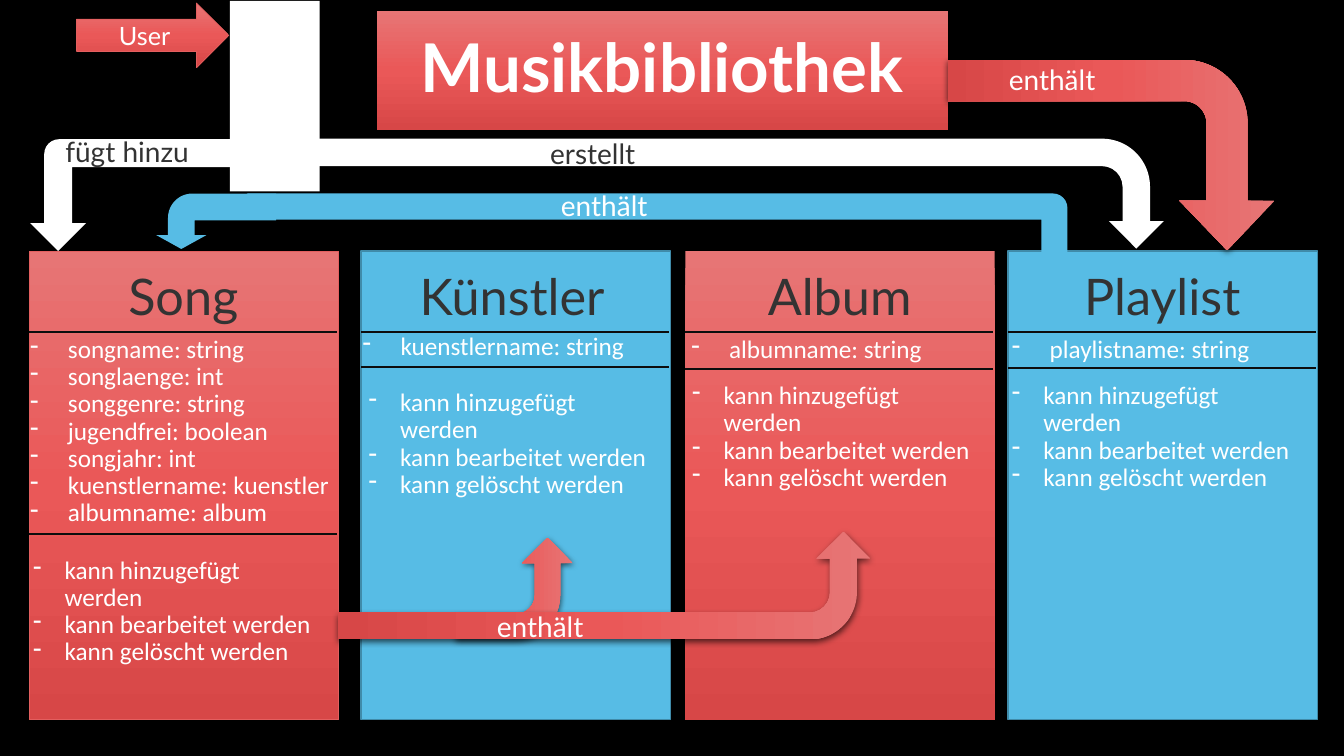
import copy
import pptx
import pptx.dml.color
import pptx.enum.shapes
import pptx.enum.text
import pptx.oxml
import pptx.oxml.ns
import pptx.util

Pt = pptx.util.Pt
SHAPES = pptx.enum.shapes.MSO_SHAPE
ALIGN = pptx.enum.text.PP_ALIGN
qn = pptx.oxml.ns.qn
NS = pptx.oxml.ns.nsdecls("a")

THEME = {
    "black": "000000", "white": "FFFFFF", "dark": "333333", "rule": "0D0D0D",
    "blue": "57BCE5", "blue_edge": "408BA9", "red_edge": "E35F5F",
    "red": ("E77575", "EA5858", "D74747"),
    "heading": "Lato", "body": "Calibri",
    "title_size": 48, "card_size": 36, "label_size": 20, "body_size": 18,
}

OPERATIONS = ["kann hinzugefügt werden", "kann bearbeitet werden", "kann gelöscht werden"]
CARD_TOP, CARD_W, CARD_H = 179.3, 221, 334.8
RULE_Y, RULE_W = 236.9, 219.8

CARDS = [
    {"name": "Song", "x": 20.9, "name_x": 37.4, "fill": "red", "edge": ("red_edge", 0.5),
     "fields": ["songname: string", "songlaenge: int", "songgenre: string",
                "jugendfrei: boolean", "songjahr: int",
                "kuenstlername: kuenstler", "albumname: album"],
     "fields_at": (14.4, 236.9), "divider_y": 381.6, "operations_at": (16.6, 394.6)},
    {"name": "Künstler", "x": 257.8, "name_x": 272.2, "fill": "blue", "edge": ("blue_edge", 1),
     "fields": ["kuenstlername: string"],
     "fields_at": (252, 234.7), "divider_y": 262.1, "operations_at": (256.3, 275)},
    {"name": "Album", "x": 489.6, "name_x": 506.2, "fill": "red", "shadow": True,
     "fields": ["albumname: string"],
     "fields_at": (486.7, 236.9), "divider_y": 263.5, "operations_at": (487.4, 270)},
    {"name": "Playlist", "x": 720, "name_x": 736.6, "fill": "blue", "edge": ("blue_edge", 1),
     "fields": ["playlistname: string"],
     "fields_at": (715.7, 236.9), "divider_y": 262.8, "operations_at": (715.7, 270)},
]

FLOWS = [
    {"arrows": [((725.8, -5.8, 136.1, 233.3),
                 {"fill": "red", "shadow": True, "rot": 90, "adj": (0.216, 0.25, 0.261, 0.332)})],
     "label": "enthält", "label_at": (713.5, 43.9, 130.3, 28.8)},
    {"arrows": [((155.5, 138.2, 607, 43.2),
                 {"fill": "blue", "flip": "flipH", "adj": (0.45, 0.216, 0.5, 0.241)}),
                ((134.6, 115.2, 39.6, 85.7),
                 {"fill": "blue", "rot": 270, "flip": "flipH", "adj": (0.482, 0.453, 0.25, 0.438)})],
     "label": "enthält", "label_at": (329, 133.9, 205.2, 28.8), "align": ALIGN.CENTER},
    {"arrows": [((331.2, 378.7, 72.7, 83.5),
                 {"fill": "red", "shadow": True, "rot": 270, "flip": "flipV"}),
                ((393.1, 228.2, 77, 380.2),
                 {"fill": "red", "shadow": True, "rot": 270, "flip": "flipV"})],
     "label": "enthält", "label_at": (347.8, 434.9, 121, 28.8)},
    {"arrows": [((490.3, -163.4, 78.5, 603.4), {"fill": "white", "rot": 90})],
     "label": "erstellt", "label_at": (385.9, 96.5, 117.4, 28.8), "color": "dark"},
    {"arrows": [((53.3, 67.7, 79.9, 143.3),
                 {"fill": "white", "rot": 90, "flip": "flipV", "adj": (0.25, 0.25, 0.25, 0.133)})],
     "label": "fügt hinzu", "label_at": (39.6, 95, 133.9, 28.8), "color": "dark"},
]


def rgb(name):
    return pptx.dml.color.RGBColor.from_string(THEME[name])


def paint_gradient(fill, colors):
    fill.gradient()
    fill.gradient_angle = 270
    first = fill.gradient_stops[0]._gs
    first.addnext(copy.deepcopy(first))
    for i, (stop, color) in enumerate(zip(fill.gradient_stops, colors)):
        stop.position = i / (len(colors) - 1)
        stop.color.rgb = pptx.dml.color.RGBColor.from_string(color)


def add_shadow(sp):
    effects = sp._element.spPr.find(qn("a:effectLst"))
    effects.append(pptx.oxml.parse_xml(
        f'<a:outerShdw {NS} blurRad="{Pt(4.5)}" dist="{Pt(1.5)}" '
        f'dir="5400000" algn="ctr" rotWithShape="0"><a:srgbClr val="{THEME["black"]}">'
        '<a:alpha val="63000"/></a:srgbClr></a:outerShdw>'))


def add_block(s, kind, box, fill, edge=None, shadow=False, rot=0, flip=None, adj=()):
    sp = s.shapes.add_shape(kind, *map(Pt, box))
    sp.shadow.inherit = False
    if fill == "red":
        paint_gradient(sp.fill, THEME["red"])
    else:
        sp.fill.solid()
        sp.fill.fore_color.rgb = rgb(fill)
    if edge:
        sp.line.color.rgb = rgb(edge[0])
        sp.line.width = Pt(edge[1])
    else:
        sp.line.fill.background()
    if shadow:
        add_shadow(sp)
    sp.rotation = rot
    if flip:
        sp._element.spPr.xfrm.set(flip, "1")
    for i, value in enumerate(adj):
        sp.adjustments[i] = value
    return sp


def write(tf, lines, size="label_size", font="heading", color="white", bold=False,
          align=None, spacing=0.9, indent=0):
    tf.word_wrap = True
    for i, line in enumerate(lines):
        p = tf.add_paragraph() if i else tf.paragraphs[0]
        p.alignment = align
        p.line_spacing = spacing
        if indent:
            pPr = p._p.get_or_add_pPr()
            pPr.set("marL", str(Pt(indent)))
            pPr.set("indent", str(-Pt(indent)))
            pPr.append(pptx.oxml.parse_xml(f'<a:buChar {NS} char="-"/>'))
        r = p.add_run()
        r.text = line
        r.font.name = THEME[font]
        r.font.size = Pt(THEME[size])
        r.font.bold = bold
        r.font.color.rgb = rgb(color)


def add_text(s, box, lines, **fmt):
    write(s.shapes.add_textbox(*map(Pt, box)).text_frame, lines, **fmt)


def add_rule(s, x, y):
    line = s.shapes.add_connector(pptx.enum.shapes.MSO_CONNECTOR.STRAIGHT,
                                  Pt(x), Pt(y), Pt(x + RULE_W), Pt(y))
    line.line.color.rgb = rgb("rule")
    line.line.width = Pt(1.5)
    line._element.spPr.append(pptx.oxml.parse_xml(f"<a:effectLst {NS}/>"))


def add_card(s, card):
    x = card["x"]
    add_block(s, SHAPES.RECTANGLE, (x, CARD_TOP, CARD_W, CARD_H), card["fill"],
              edge=card.get("edge"), shadow=card.get("shadow", False))
    add_text(s, (card["name_x"], 190.8, 187.2, 46.8), [card["name"]],
             size="card_size", color="dark", align=ALIGN.CENTER)
    body = {"size": "body_size", "font": "body"}
    fields_h = 7.2 + 19.5 * len(card["fields"])
    add_text(s, (*card["fields_at"], 253.4, fields_h), card["fields"], indent=27, **body)
    add_text(s, (*card["operations_at"], 213.8, 105.1), OPERATIONS, indent=22.5, **body)
    for y in (RULE_Y, card["divider_y"]):
        add_rule(s, x, y)


def main():
    prs = pptx.Presentation()
    prs.slide_width, prs.slide_height = Pt(960), Pt(540)
    s = prs.slides.add_slide(prs.slide_layouts[6])
    s.background.fill.solid()
    s.background.fill.fore_color.rgb = rgb("black")

    add_block(s, SHAPES.RECTANGLE, (164.2, 0.7, 64.1, 136.1), "white")
    add_block(s, SHAPES.RECTANGLE, (269.3, 7.9, 408.2, 85), "red", shadow=True)
    add_text(s, (240.5, 20.9, 465.1, 59.8), ["Musikbibliothek"],
             size="title_size", bold=True, align=ALIGN.CENTER)
    for card in CARDS:
        add_card(s, card)
    for flow in FLOWS:
        for box, look in flow["arrows"]:
            add_block(s, SHAPES.BENT_ARROW, box, **look)
        add_text(s, flow["label_at"], [flow["label"]],
                 color=flow.get("color", "white"), align=flow.get("align"))
    user = add_block(s, SHAPES.RIGHT_ARROW, (54.7, 2.2, 108.7, 46.1), "red",
                     edge=("red_edge", 0.5))
    write(user.text_frame, ["User"], size="body_size", align=ALIGN.CENTER, spacing=1.0)
    prs.save("out.pptx")


if __name__ == "__main__":
    main()
